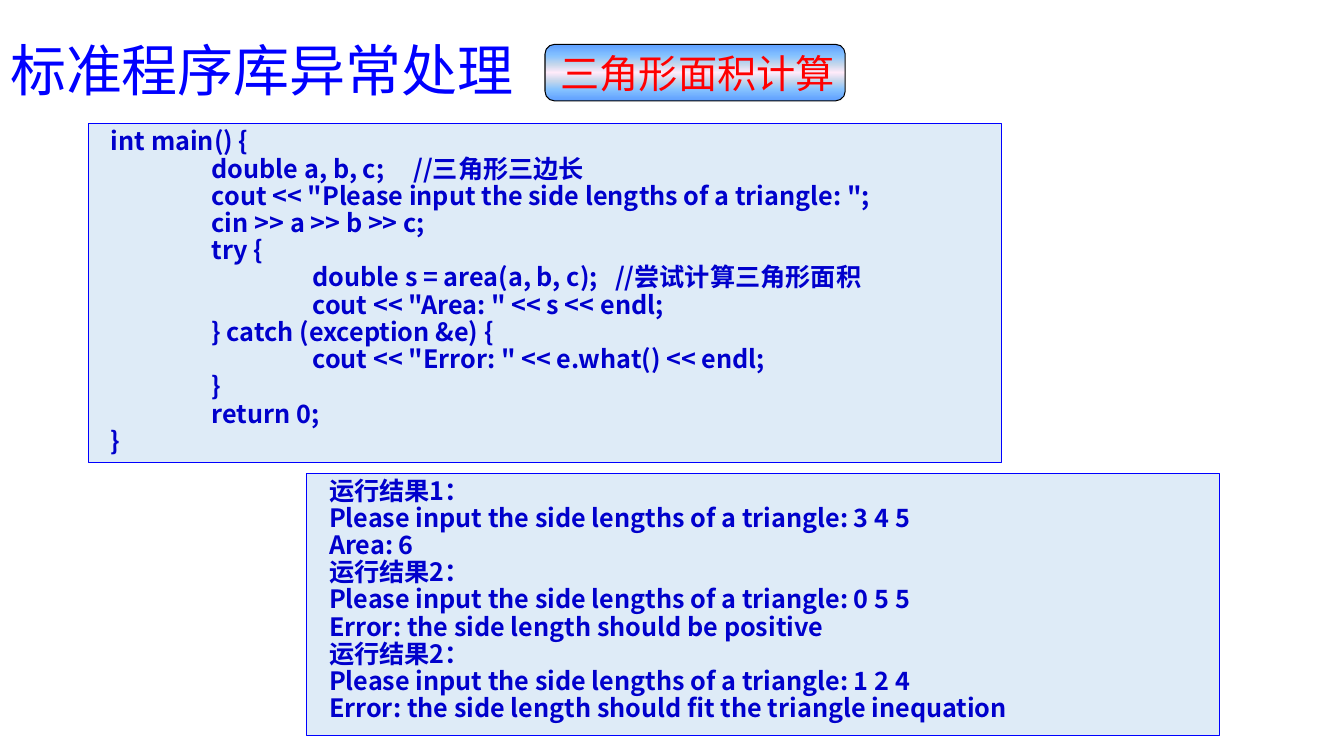
from dataclasses import dataclass

from lxml.etree import SubElement
from pptx import Presentation
from pptx.dml.color import RGBColor
from pptx.enum.shapes import MSO_SHAPE as Preset
from pptx.enum.text import MSO_ANCHOR as Anchor, MSO_AUTO_SIZE as AutoSize, PP_ALIGN as Align
from pptx.oxml.ns import qn
from pptx.util import Inches, Pt

WIDTH, HEIGHT = Inches(13.33), Inches(7.5)
CJK_FONT = "Noto Sans CJK SC"
COLORS = {
    "title": "0000FF", "panel": "DEEBF7", "border": "0000FF", "code": "0000CC",
    "badge_line": "000000", "badge_text": "FF0000",
    "edge": "5E9EFF", "sky": "85C2FF", "mist": "C4D6EB", "glow": "FFEBFA",
}
BADGE_STOPS = [(0, "edge"), (20, "sky"), (35, "mist"), (50, "glow"),
               (65, "mist"), (80, "sky"), (100, "edge")]


@dataclass(frozen=True)
class Area:
    """A rectangle in percent of the slide's width and height."""
    left: float
    top: float
    width: float
    height: float

    def lengths(self) -> tuple[int, int, int, int]:
        return (int(WIDTH * self.left / 100), int(HEIGHT * self.top / 100),
                int(WIDTH * self.width / 100), int(HEIGHT * self.height / 100))


@dataclass(frozen=True)
class TextStyle:
    size: int
    color: str
    font: str = CJK_FONT
    bold: bool = False


@dataclass(frozen=True)
class Panel:
    area: Area
    lines: list[str]


TITLE_AREA = Area(0, 0, 86.27, 19.33)
BADGE_AREA = Area(40.55, 5.87, 22.33, 7.47)
LABEL_AREA = Area(40.81, 5.87, 22.21, 6)
TITLE_STYLE = TextStyle(40, "title")
LABEL_STYLE = TextStyle(28, "badge_text", "Arial")
CODE_STYLE = TextStyle(18, "code", bold=True)

PANELS = [
    Panel(Area(6.6, 16.4, 67.93, 44.8), [
        "int main() {",
        "\tdouble a, b, c;\t//三角形三边长",
        "\tcout << \"Please input the side lengths of a triangle: \";",
        "\tcin >> a >> b >> c;",
        "\ttry {",
        "\t\tdouble s = area(a, b, c);\t//尝试计算三角形面积",
        "\t\tcout << \"Area: \" << s << endl;",
        "\t} catch (exception &e) {",
        "\t\tcout << \"Error: \" << e.what() << endl;",
        "\t}",
        "\treturn 0;",
        "}",
    ]),
    Panel(Area(22.83, 62.6, 67.93, 34.67), [
        "运行结果1：",
        "Please input the side lengths of a triangle: 3 4 5",
        "Area: 6",
        "运行结果2：",
        "Please input the side lengths of a triangle: 0 5 5",
        "Error: the side length should be positive",
        "运行结果2：",
        "Please input the side lengths of a triangle: 1 2 4",
        "Error: the side length should fit the triangle inequation",
    ]),
]


def rgb(name: str) -> RGBColor:
    return RGBColor.from_string(COLORS[name])


def place(shape, area: Area) -> None:
    shape.left, shape.top, shape.width, shape.height = area.lengths()


def add_run(para, text: str, style: TextStyle) -> None:
    run = para.add_run()
    run.text = text
    run.font.size, run.font.bold = Pt(style.size), style.bold
    run.font.color.rgb = rgb(style.color)
    run.font.name = style.font
    SubElement(run.font._element, qn("a:ea"), typeface=style.font)


def format_code_line(para) -> None:
    """Plain indented line with default tabs one inch apart."""
    para.line_spacing = 0.9
    para.space_before = para.space_after = Pt(0)
    para.alignment = Align.LEFT
    properties = para._p.get_or_add_pPr()
    properties.set("marL", str(Inches(0.12)))
    properties.set("indent", "0")
    properties.set("defTabSz", str(Inches(1)))
    SubElement(properties, qn("a:buNone"))


def fill_panel(box, panel: Panel) -> None:
    place(box, panel.area)
    box.fill.solid()
    box.fill.fore_color.rgb = rgb("panel")
    box.line.color.rgb = rgb("border")
    box.line.width = Pt(0.75)
    frame = box.text_frame
    frame.auto_size, frame.vertical_anchor = AutoSize.NONE, Anchor.TOP
    for number, line in enumerate(panel.lines):
        para = frame.add_paragraph() if number else frame.paragraphs[0]
        format_code_line(para)
        add_run(para, line, CODE_STYLE)


def fill_title(box) -> None:
    place(box, TITLE_AREA)
    frame = box.text_frame
    frame.auto_size, frame.vertical_anchor = AutoSize.NONE, Anchor.MIDDLE
    para = frame.paragraphs[0]
    para.alignment, para.line_spacing = Align.LEFT, 0.9
    add_run(para, "标准程序库异常处理", TITLE_STYLE)


def add_badge(page) -> None:
    badge = page.shapes.add_shape(Preset.ROUNDED_RECTANGLE, *BADGE_AREA.lengths())
    badge.shadow.inherit = False
    badge.line.color.rgb = rgb("badge_line")
    badge.line.width = Pt(0.75)
    badge.fill.gradient()
    badge.fill.gradient_angle = 270
    stops = badge._element.spPr.find(qn("a:gradFill")).find(qn("a:gsLst"))
    stops.clear()
    for percent, color in BADGE_STOPS:
        stop = SubElement(stops, qn("a:gs"), pos=str(percent * 1000))
        SubElement(stop, qn("a:srgbClr"), val=COLORS[color])

    label = page.shapes.add_textbox(*LABEL_AREA.lengths())
    label.text_frame.word_wrap = True
    para = label.text_frame.paragraphs[0]
    para.alignment = Align.CENTER
    add_run(para, "三角形面积计算", LABEL_STYLE)


def main() -> None:
    deck = Presentation()
    deck.slide_width, deck.slide_height = WIDTH, HEIGHT
    # Layout with a title and two body placeholders
    page = deck.slides.add_slide(deck.slide_layouts[3])

    # Title and topic badge
    fill_title(page.shapes.title)
    add_badge(page)

    # Program and its output
    for index, panel in enumerate(PANELS, start=1):
        fill_panel(page.placeholders[index], panel)

    deck.save("out.pptx")


if __name__ == "__main__":
    main()
